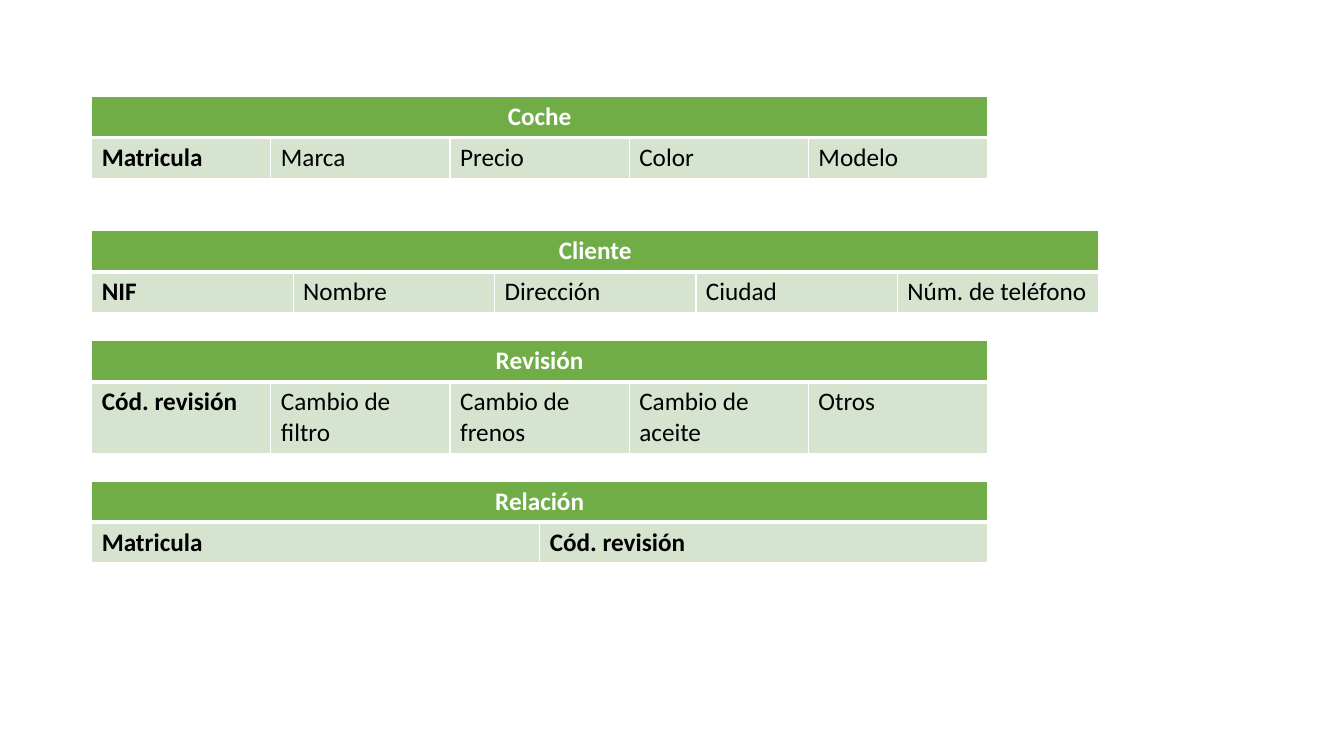
from lxml import etree
from pptx import Presentation
from pptx.dml.color import RGBColor
from pptx.enum import text
from pptx.oxml import ns
from pptx.util import Pt

COLOURS = {"header": "70AD47", "body": "D5E3CF", "border": "FFFFFF",
           "header_text": "FFFFFF", "body_text": "000000"}
LEFT, ROW_HEIGHT, TALL_ROW = 65.5, 29.2, 51
ENTITIES = [
    ("Coche", ["Matricula", "Marca", "Precio", "Color", "Modelo"],
     1, (LEFT, 69.1, 640, ROW_HEIGHT)),
    ("Cliente", ["NIF", "Nombre", "Dirección", "Ciudad", "Núm. de teléfono"],
     1, (LEFT, 164.9, 719.3, ROW_HEIGHT)),
    ("Revisión", ["Cód. revisión", "Cambio de filtro", "Cambio de frenos",
                  "Cambio de aceite", "Otros"],
     1, (LEFT, 243.4, 640, TALL_ROW)),
    ("Relación", ["Matricula", "Cód. revisión"],
     2, (LEFT, 343.7, 640, ROW_HEIGHT)),
]


def add_borders(cell, widths):
    """Draw the four cell borders with the given widths in points."""
    properties = cell._tc.get_or_add_tcPr()
    for side, width in widths.items():
        line = etree.SubElement(properties, ns.qn(f"a:ln{side}"), w=str(Pt(width)))
        fill = etree.SubElement(line, ns.qn("a:solidFill"))
        etree.SubElement(fill, ns.qn("a:srgbClr"), val=COLOURS["border"])


def format_cell(cell, words, kind, bold, alignment, widths):
    """Fill one cell with its words, borders and colours."""
    add_borders(cell, widths)
    cell.fill.solid()
    cell.fill.fore_color.rgb = RGBColor.from_string(COLOURS[kind])
    paragraph = cell.text_frame.paragraphs[0]
    paragraph.alignment = alignment
    run = paragraph.add_run()
    run.text = words
    for name, value in {"name": "Calibri", "size": Pt(18), "bold": bold}.items():
        setattr(run.font, name, value)
    run.font.color.rgb = RGBColor.from_string(COLOURS[f"{kind}_text"])


def add_entity(slide, title, fields, key_count, box):
    """Add a table with a merged title row above a row of fields, keys in bold."""
    left, top, width, field_height = box
    count = len(fields)
    table = slide.shapes.add_table(2, count, Pt(left), Pt(top), Pt(width),
                                   Pt(ROW_HEIGHT + field_height)).table
    table.rows[0].height = Pt(ROW_HEIGHT)
    table.rows[1].height = Pt(field_height)
    header = table.cell(0, 0)
    header.merge(table.cell(0, count - 1))
    format_cell(header, title, "header", True, text.PP_ALIGN.CENTER,
                {"L": 1, "R": 1, "T": 1, "B": 3})
    for column, field in enumerate(fields):
        format_cell(table.cell(1, column), field, "body", column < key_count,
                    text.PP_ALIGN.LEFT, {"L": 1, "R": 1, "T": 3, "B": 1})


def main():
    """Build the slide of database tables and save it."""
    presentation = Presentation()
    presentation.slide_width, presentation.slide_height = Pt(960), Pt(540)
    slide = presentation.slides.add_slide(presentation.slide_layouts[6])
    for entity in ENTITIES:
        add_entity(slide, *entity)
    presentation.save("out.pptx")


if __name__ == "__main__":
    main()
